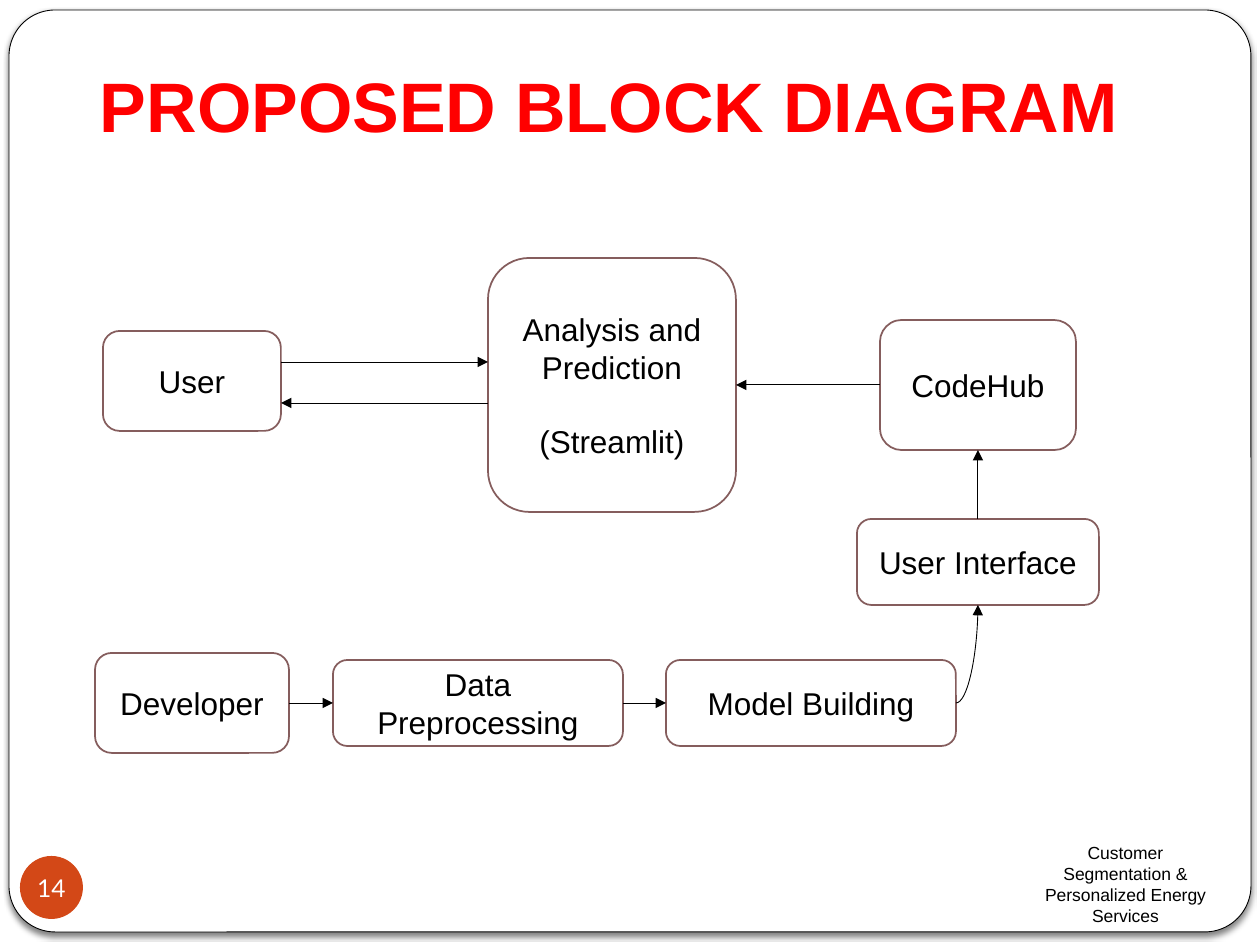
from dataclasses import dataclass
from lxml.etree import SubElement
from pptx import Presentation
from pptx.dml.color import RGBColor
from pptx.enum.shapes import MSO_CONNECTOR, MSO_SHAPE
from pptx.enum.text import MSO_ANCHOR, PP_ALIGN
from pptx.oxml.ns import qn
from pptx.util import Pt

# Content: name -> (paragraphs, left, top, width, height)
TITLE = "PROPOSED BLOCK DIAGRAM"
FOOTER = "Customer Segmentation & Personalized Energy Services"
PAGE = "14"
BLOCKS = {
    "user": (["User"], 103, 331, 178, 100),
    "analysis": (["Analysis and Prediction", "(Streamlit)"], 488, 258, 248, 254),
    "repository": (["CodeHub"], 880, 320, 196, 130),
    "interface": (["User Interface"], 857, 519, 242, 86),
    "developer": (["Developer"], 95, 653, 194, 100),
    "preprocessing": (["Data Preprocessing"], 333, 660, 290, 86),
    "model": (["Model Building"], 666, 660, 290, 86),
}
# Connection sites of a rounded rectangle
TOP, LEFT, BOTTOM, RIGHT = range(4)
LINKS = [
    ("developer", RIGHT, "preprocessing", LEFT),
    ("preprocessing", RIGHT, "model", LEFT),
    ("model", RIGHT, "interface", BOTTOM),
    ("interface", TOP, "repository", BOTTOM),
    ("repository", LEFT, "analysis", RIGHT),
]
REQUEST_Y, REPLY_Y = 362, 403


@dataclass(frozen=True)
class Theme:
    white: str = "FFFFFF"
    black: str = "000000"
    red: str = "FF0000"
    orange: str = "D34817"
    border: str = "855D5D"
    font: str = "Arial"
    page_font: str = "Lato"
    title_size: int = 40
    block_size: int = 18
    page_size: int = 14
    footer_size: int = 10
    hairline: float = 0.5
    block_line: float = 1


T = Theme()
PX = 914400 // 126


def px(*values):
    return [v * PX for v in values]


def rgb(color):
    return RGBColor.from_string(color)


def add_text(sp, paragraphs, size, color, font=T.font, bold=False,
             align=PP_ALIGN.CENTER, anchor=MSO_ANCHOR.MIDDLE,
             insets=(13, 6, 13, 6), gap=0):
    tf = sp.text_frame
    tf.word_wrap = True
    tf.vertical_anchor = anchor
    tf.margin_left, tf.margin_top, tf.margin_right, tf.margin_bottom = px(*insets)
    for i, text in enumerate(paragraphs):
        p = tf.add_paragraph() if i else tf.paragraphs[0]
        p.alignment = align
        if i:
            p.space_before = Pt(gap)
        r = p.add_run()
        r.text = text
        r.font.name, r.font.size, r.font.bold = font, Pt(size), bold
        r.font.color.rgb = rgb(color)


def add_box(kind, box, fill, line=None, width=T.block_line):
    sp = s.shapes.add_shape(kind, *px(*box))
    sp.shadow.inherit = False
    sp.fill.solid()
    sp.fill.fore_color.rgb = rgb(fill)
    if line:
        sp.line.color.rgb = rgb(line)
        sp.line.width = Pt(width)
    else:
        sp.line.fill.background()
    return sp


def add_arrow(x1=0, y1=0, x2=0, y2=0, kind=MSO_CONNECTOR.STRAIGHT):
    cxn = s.shapes.add_connector(kind, *px(x1, y1, x2, y2))
    cxn.line.color.rgb = rgb(T.black)
    cxn.line.width = Pt(T.hairline)
    SubElement(cxn.line._get_or_add_ln(), qn("a:tailEnd"), type="triangle")
    SubElement(cxn._element.spPr, qn("a:effectLst"))
    return cxn


prs = Presentation()
prs.slide_width, prs.slide_height = px(1260, 945)
s = prs.slides.add_slide(prs.slide_layouts[6])

# Page frame with a soft shadow
frame = add_box(MSO_SHAPE.ROUNDED_RECTANGLE, (9, 10, 1242, 922),
                T.white, T.black, T.hairline)
frame.adjustments[0] = 0.05
effects = frame._element.spPr.find(qn("a:effectLst"))
shadow = SubElement(effects, qn("a:outerShdw"), blurRad=str(Pt(3)),
                    dist=str(Pt(2)), dir="5400000", rotWithShape="0")
shade = SubElement(shadow, qn("a:srgbClr"), val=T.black)
SubElement(shade, qn("a:alpha"), val="50000")

# Title, page number and footer
title = s.shapes.add_textbox(*px(87, 29, 1071, 130))
add_text(title, [TITLE], T.title_size, T.red, bold=True, align=PP_ALIGN.LEFT,
         anchor=MSO_ANCHOR.BOTTOM, insets=(13, 6, 13, 13))
badge = add_box(MSO_SHAPE.OVAL, (20, 856, 63, 63), T.orange)
add_text(badge, [PAGE], T.page_size, T.white, T.page_font, insets=(0, 0, 0, 0))
footer = s.shapes.add_textbox(*px(987, 853, 242, 63))
add_text(footer, [FOOTER], T.footer_size, T.black, insets=(48, 6, 13, 6))

# Blocks
shapes = {}
for name, (paragraphs, *box) in BLOCKS.items():
    shapes[name] = add_box(MSO_SHAPE.ROUNDED_RECTANGLE, box, T.white, T.border)
    add_text(shapes[name], paragraphs, T.block_size, T.black, gap=21)

# Links between block sides; a turn from side to bottom is curved
for start, start_site, end, end_site in LINKS:
    curved = start_site % 2 != end_site % 2
    cxn = add_arrow(kind=MSO_CONNECTOR.CURVE if curved else MSO_CONNECTOR.STRAIGHT)
    cxn.begin_connect(shapes[start], start_site)
    cxn.end_connect(shapes[end], end_site)
    if curved:
        cxn._element.spPr.find(qn("a:prstGeom")).set("prst", "curvedConnector2")

# Request and reply between user and analysis
user_right = BLOCKS["user"][1] + BLOCKS["user"][3]
analysis_left = BLOCKS["analysis"][1]
add_arrow(user_right, REQUEST_Y, analysis_left, REQUEST_Y)
add_arrow(analysis_left, REPLY_Y, user_right, REPLY_Y)

prs.save("out.pptx")
